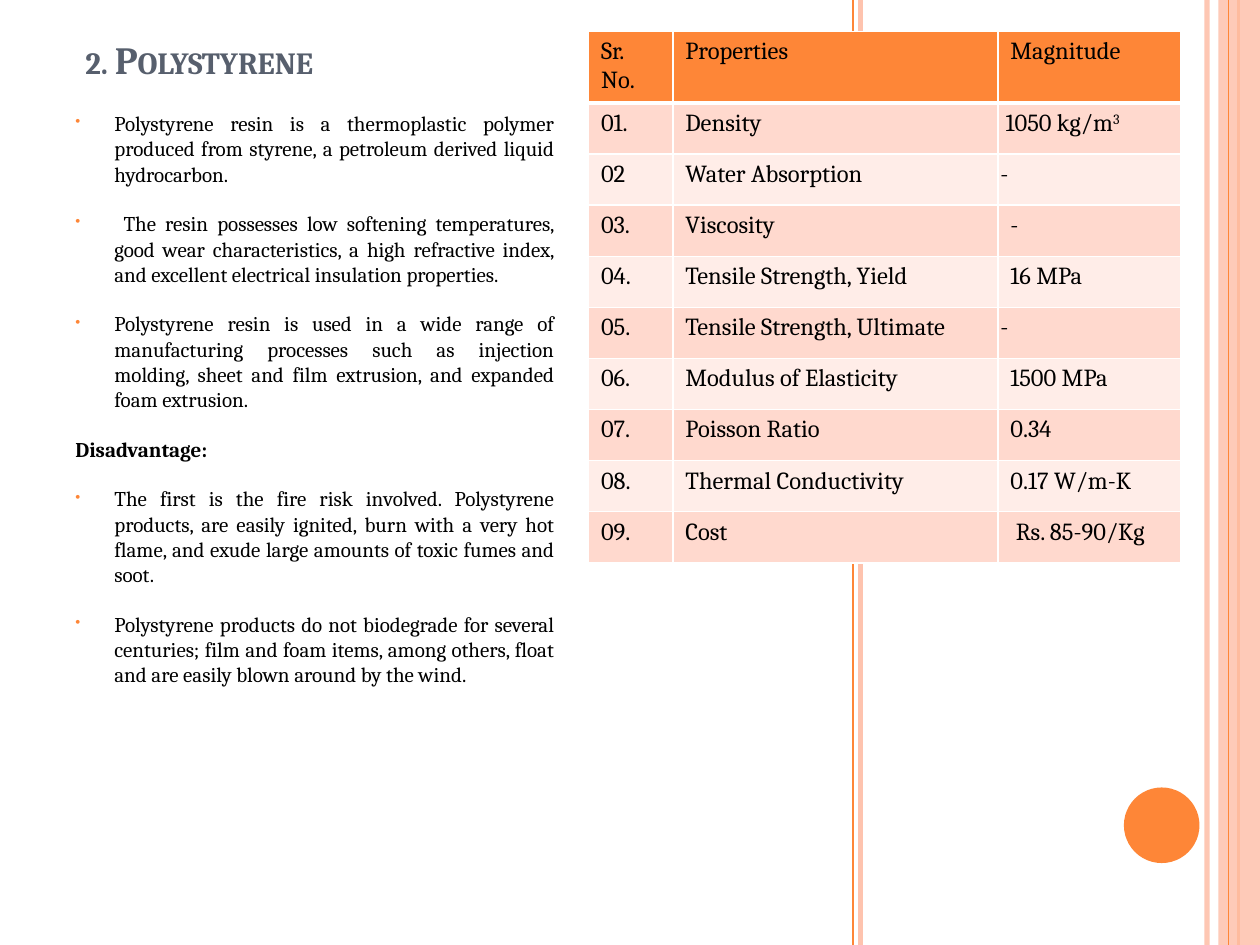
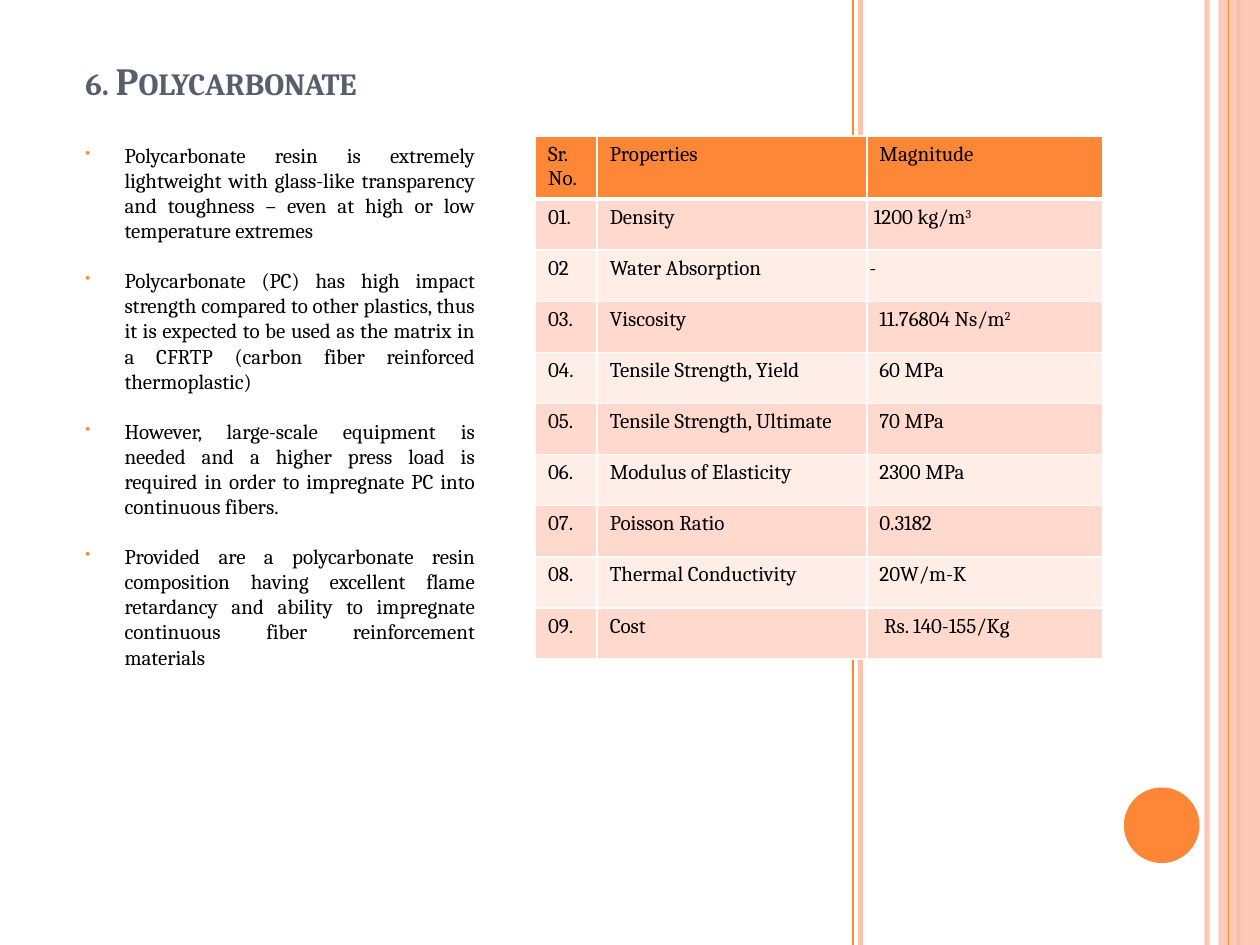
from dataclasses import dataclass

from lxml.etree import SubElement
from pptx import Presentation
from pptx.dml.color import RGBColor
from pptx.enum.shapes import MSO_CONNECTOR, MSO_SHAPE
from pptx.enum.text import MSO_ANCHOR, PP_ALIGN
from pptx.oxml.ns import qn
from pptx.util import Inches, Pt

FONT = "Cambria"
ORANGE, PEACH, SLATE = "FE8637", "FEC3AE", "575F6D"
ROSE, PALE_ROSE = "FFD9CE", "FFEDE8"
BLACK, WHITE = "000000", "FFFFFF"
PAGE_WIDTH, PAGE_HEIGHT = Inches(10), Inches(7.5)
ROW_HEIGHT = Inches(3.65) // 9
BULLET_INDENT = Inches(0.31)
TIGHT_MARGIN = Inches(0.02)

HEADINGS = ("Sr. No.", "Properties", "Magnitude")
PROPERTIES = (
    "Density", "Water Absorption", "Viscosity", "Tensile Strength, Yield",
    "Tensile Strength, Ultimate", "Modulus of Elasticity", "Poisson Ratio",
    "Thermal Conductivity", "Cost",
)


@dataclass(frozen=True)
class Stripe:
    x: float
    color: str
    points: float
    opacity: int = 100


@dataclass(frozen=True)
class Area:
    left: float
    top: float
    width: float
    height: float

    def lengths(self) -> list:
        return [Inches(n) for n in (self.left, self.top, self.width, self.height)]


@dataclass(frozen=True)
class Magnitude:
    text: str
    exponent: str = ""
    tight: bool = False


@dataclass(frozen=True)
class BodyLine:
    text: str
    heading: bool = False


@dataclass(frozen=True)
class Material:
    title: str
    title_area: Area
    body_area: Area
    body: tuple
    table_left: float
    table_top: float
    column_widths: tuple
    table_size: int
    magnitudes: tuple


STRIPES_BEHIND = (
    Stripe(9.58, PEACH, 3, 93),
    Stripe(6.83, PEACH, 3),
    Stripe(6.77, ORANGE, 1),
    Stripe(9.83, ORANGE, 1.5),
)
STRIPE_IN_FRONT = Stripe(9.75, ORANGE, 0.75)
BAND = Area(9.67, 0, 0.33, 7.5)
DISC = Area(8.92, 6.25, 0.6, 0.6)

MATERIALS = (
    Material(
        title="2. Polystyrene",
        title_area=Area(0.58, 0, 3.29, 0.7),
        body_area=Area(0.5, 0.83, 4, 6.42),
        body=(
            BodyLine("Polystyrene resin is a thermoplastic polymer produced from styrene, "
                     "a petroleum derived liquid hydrocarbon."),
            BodyLine(" The resin possesses low softening temperatures, good wear "
                     "characteristics, a high refractive index, and excellent electrical "
                     "insulation properties."),
            BodyLine("Polystyrene resin is used in a wide range of manufacturing processes "
                     "such as injection molding, sheet and film extrusion, and expanded "
                     "foam extrusion."),
            BodyLine("Disadvantage:", heading=True),
            BodyLine("The first is the fire risk involved. Polystyrene products, are easily "
                     "ignited, burn with a very hot flame, and exude large amounts of toxic "
                     "fumes and soot."),
            BodyLine("Polystyrene products do not biodegrade for several centuries; film and "
                     "foam items, among others, float and are easily blown around by the "
                     "wind."),
        ),
        table_left=4.67,
        table_top=0.25,
        column_widths=(0.67, 2.58, 1.45),
        table_size=14,
        magnitudes=(
            Magnitude(" 1050 kg/m", "3", tight=True),
            Magnitude("-", tight=True),
            Magnitude("-"),
            Magnitude("16 MPa"),
            Magnitude("-", tight=True),
            Magnitude("1500 MPa"),
            Magnitude("0.34"),
            Magnitude("0.17 W/m-K"),
            Magnitude(" Rs. 85-90/Kg"),
        ),
    ),
    Material(
        title="6. Polycarbonate",
        title_area=Area(0.58, 0.17, 3.29, 0.7),
        body_area=Area(0.58, 1.08, 3.29, 5.13),
        body=(
            BodyLine("Polycarbonate resin is extremely lightweight with glass-like "
                     "transparency and toughness – even at high or low temperature extremes"),
            BodyLine("Polycarbonate (PC) has high impact strength compared to other plastics, "
                     "thus it is expected to be used as the matrix in a CFRTP (carbon fiber "
                     "reinforced thermoplastic)"),
            BodyLine("However, large-scale equipment is needed and a higher press load is "
                     "required in order to impregnate PC into continuous fibers."),
            BodyLine("Provided are a polycarbonate resin composition having excellent flame "
                     "retardancy and ability to impregnate continuous fiber reinforcement "
                     "materials"),
        ),
        table_left=4.25,
        table_top=1.08,
        column_widths=(0.49, 2.14, 1.87),
        table_size=12,
        magnitudes=(
            Magnitude(" 1200 kg/m", "3", tight=True),
            Magnitude("-", tight=True),
            Magnitude("11.76804 Ns/m", "2"),
            Magnitude("60 MPa"),
            Magnitude("70 MPa"),
            Magnitude("2300 MPa"),
            Magnitude("0.3182"),
            Magnitude("20W/m-K"),
            Magnitude(" Rs. 140-155/Kg"),
        ),
    ),
)


def paint(fill, color: str, opacity: int = 100) -> None:
    fill.solid()
    fill.fore_color.rgb = RGBColor.from_string(color)
    if opacity < 100:
        tint = fill._xPr.find(qn("a:solidFill"))[0]
        SubElement(tint, qn("a:alpha"), val=str(opacity * 1000))


def add_span(para, text: str, *, size: float, color: str = BLACK, bold: bool = False,
             small_caps: bool = False, superscript: bool = False) -> None:
    span = para.add_run()
    span.text = text
    span.font.name = FONT
    span.font.size = Pt(size)
    span.font.bold = bold
    paint(span.font.fill, color)
    properties = span._r.get_or_add_rPr()
    if small_caps:
        properties.set("cap", "small")
    if superscript:
        properties.set("baseline", "30000")


def add_stripe(page, stripe: Stripe) -> None:
    x = Inches(stripe.x)
    line = page.shapes.add_connector(MSO_CONNECTOR.STRAIGHT, x, 0, x, PAGE_HEIGHT)
    line.line.width = Pt(stripe.points)
    paint(line.line.fill, stripe.color, stripe.opacity)
    SubElement(line._element.spPr, qn("a:effectLst"))


def add_plain_shape(page, kind, area: Area, color: str, opacity: int = 100) -> None:
    shape = page.shapes.add_shape(kind, *area.lengths())
    shape.shadow.inherit = False
    shape.line.fill.background()
    paint(shape.fill, color, opacity)


def add_decoration(page) -> None:
    for stripe in STRIPES_BEHIND:
        add_stripe(page, stripe)
    add_plain_shape(page, MSO_SHAPE.RECTANGLE, BAND, PEACH, 87)
    add_stripe(page, STRIPE_IN_FRONT)
    add_plain_shape(page, MSO_SHAPE.OVAL, DISC, ORANGE)


def add_text_frame(page, area: Area, anchor=MSO_ANCHOR.TOP):
    frame = page.shapes.add_textbox(*area.lengths()).text_frame
    frame.word_wrap = True
    frame.vertical_anchor = anchor
    return frame


def add_title(page, material: Material) -> None:
    frame = add_text_frame(page, material.title_area, MSO_ANCHOR.BOTTOM)
    add_span(frame.paragraphs[0], material.title, size=22, color=SLATE, bold=True,
             small_caps=True)


def add_bullet(para) -> None:
    properties = para._p.get_or_add_pPr()
    properties.set("marL", str(BULLET_INDENT))
    properties.set("indent", str(-BULLET_INDENT))
    color = SubElement(properties, qn("a:buClr"))
    SubElement(color, qn("a:srgbClr"), val=ORANGE)
    SubElement(properties, qn("a:buSzPct"), val="70000")
    SubElement(properties, qn("a:buChar"), char="•")


def add_body(page, material: Material) -> None:
    frame = add_text_frame(page, material.body_area)
    for index, line in enumerate(material.body):
        para = frame.add_paragraph() if index else frame.paragraphs[0]
        para.alignment = PP_ALIGN.JUSTIFY
        para.space_before, para.space_after = Pt(4), Pt(10)
        if not line.heading:
            add_bullet(para)
        add_span(para, line.text, size=12, bold=line.heading)


def add_borders(cell, row: int) -> None:
    """Draw white edges, thicker on the seam below the header row."""
    widths = {"lnL": 1, "lnR": 1, "lnT": 3 if row == 1 else 1, "lnB": 3 if row == 0 else 1}
    properties = cell._tc.get_or_add_tcPr()
    for edge, points in widths.items():
        line = SubElement(properties, qn(f"a:{edge}"), w=str(Pt(points)))
        fill = SubElement(line, qn("a:solidFill"))
        SubElement(fill, qn("a:srgbClr"), val=WHITE)


def add_property_table(page, material: Material) -> None:
    rows = [[Magnitude(heading) for heading in HEADINGS]]
    for number, (name, magnitude) in enumerate(zip(PROPERTIES, material.magnitudes), 1):
        label = "02" if number == 2 else f"{number:02}."
        rows.append([Magnitude(label), Magnitude(name), magnitude])

    table = page.shapes.add_table(
        len(rows), len(HEADINGS), Inches(material.table_left), Inches(material.table_top),
        Inches(sum(material.column_widths)), ROW_HEIGHT * len(rows)).table
    table.first_row = table.horz_banding = False
    for column, width in zip(table.columns, material.column_widths):
        column.width = Inches(width)

    for row, entries in enumerate(rows):
        table.rows[row].height = ROW_HEIGHT
        color = ORANGE if row == 0 else ROSE if row % 2 else PALE_ROSE
        for column, entry in enumerate(entries):
            cell = table.cell(row, column)
            add_borders(cell, row)
            paint(cell.fill, color)
            if entry.tight:
                cell.margin_left = cell.margin_right = TIGHT_MARGIN
            para = cell.text_frame.paragraphs[0]
            add_span(para, entry.text, size=material.table_size)
            if entry.exponent:
                add_span(para, entry.exponent, size=material.table_size, superscript=True)


def main() -> None:
    deck = Presentation()
    deck.slide_width, deck.slide_height = PAGE_WIDTH, PAGE_HEIGHT
    for material in MATERIALS:
        page = deck.slides.add_slide(deck.slide_layouts[6])
        paint(page.background.fill, WHITE)
        add_decoration(page)
        add_title(page, material)
        add_property_table(page, material)
        add_body(page, material)
    deck.save("out.pptx")


if __name__ == "__main__":
    main()
